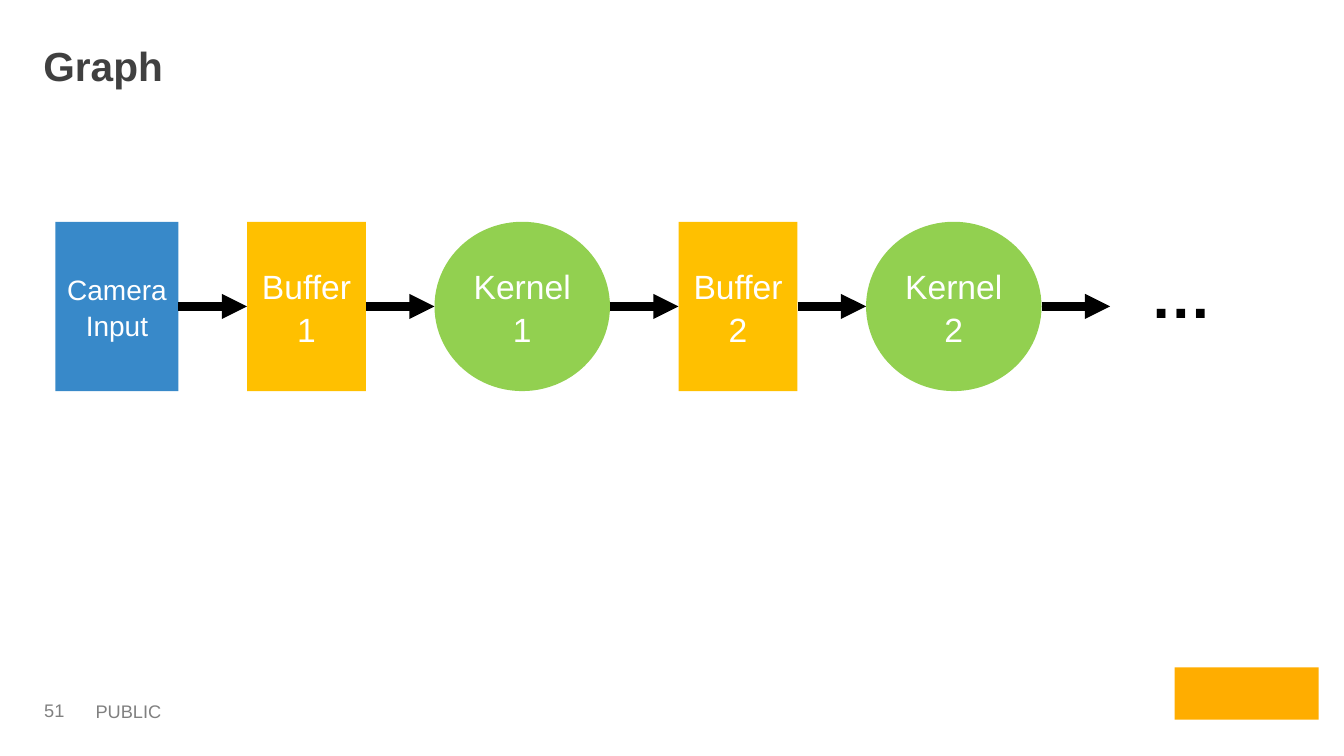
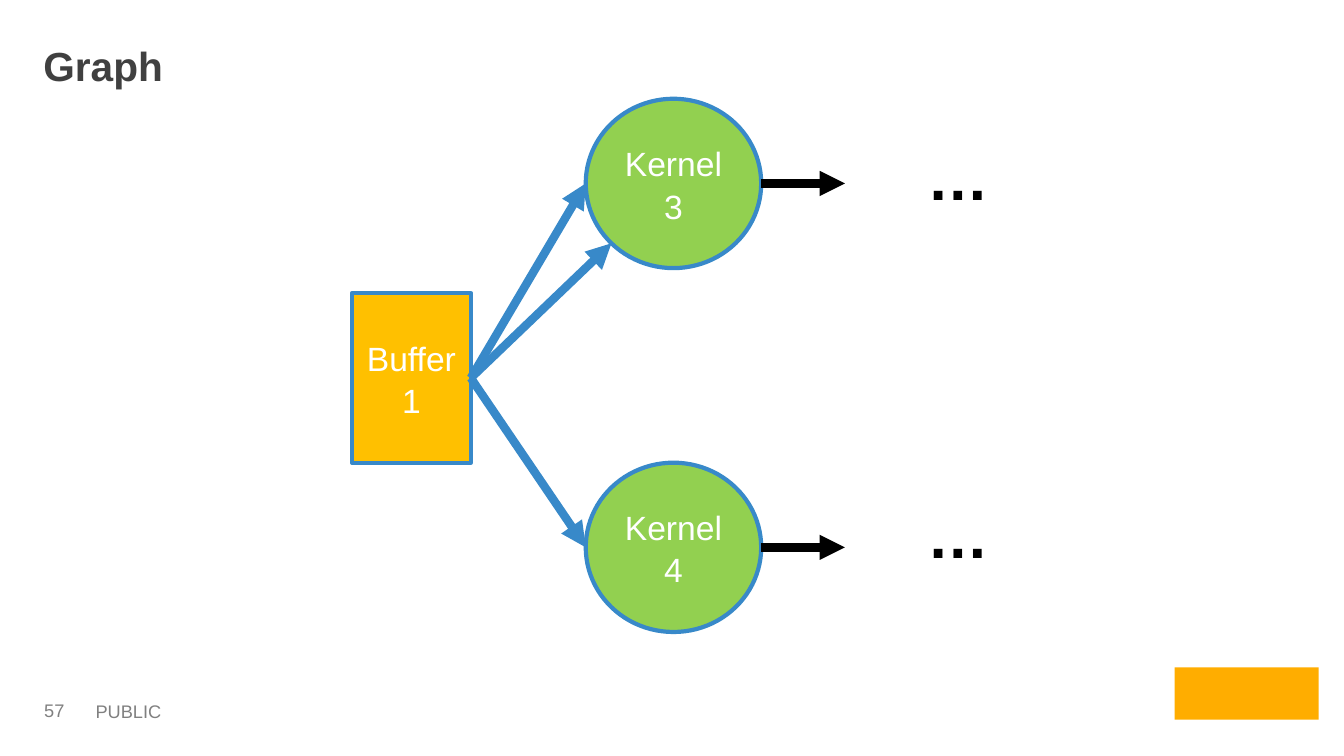
from math import cos, pi, sin

from lxml.etree import SubElement
from pptx import Presentation
from pptx.dml.color import RGBColor
from pptx.enum.shapes import MSO_CONNECTOR, MSO_SHAPE
from pptx.enum.text import MSO_ANCHOR, MSO_AUTO_SIZE, PP_ALIGN
from pptx.oxml.ns import qn
from pptx.util import Inches, Pt

# Shared style
FONT = "Arial"
WHITE = RGBColor(0xFF, 0xFF, 0xFF)
BLACK = RGBColor(0x00, 0x00, 0x00)
TITLE_GRAY = RGBColor(0x40, 0x40, 0x40)
FOOTER_GRAY = RGBColor(0x80, 0x80, 0x80)
BLUE = RGBColor(0x38, 0x89, 0xC9)
AMBER = RGBColor(0xFF, 0xC0, 0x00)
GREEN = RGBColor(0x92, 0xD0, 0x50)
LOGO_ORANGE = RGBColor(0xFF, 0xAD, 0x00)
LINE_SPACING = 1.05

# Node kinds: preset, fill, width, text size
NODE_HEIGHT = 1.68
KINDS = {
    "input": (MSO_SHAPE.RECTANGLE, BLUE, 1.22, 20),
    "buffer": (MSO_SHAPE.RECTANGLE, AMBER, 1.18, 24),
    "kernel": (MSO_SHAPE.OVAL, GREEN, 1.74, 24),
}

# Content
TITLE = "Graph"
FOOTER = "PUBLIC"
CHAIN = [
    ("input", "Camera Input"),
    ("buffer", "Buffer 1"),
    ("kernel", "Kernel\v1"),
    ("buffer", "Buffer 2"),
    ("kernel", "Kernel 2"),
]
CHAIN_LEFT, CHAIN_TOP, CHAIN_GAP = 0.55, 2.2, 0.68
SOURCE = ("buffer", "Buffer 1", 3.49, 2.91)
# Label, top of the kernel, top of the dots
BRANCHES = [("Kernel 3", 0.98, 1.29), ("Kernel 4", 4.59, 4.84)]
BRANCH_LEFT, BRANCH_ARROW, BRANCH_DOTS = 5.81, 0.83, 9.1


def write(frame, text, size, color, bold=False, align=PP_ALIGN.LEFT,
          anchor=MSO_ANCHOR.TOP):
    frame.word_wrap = True
    frame.auto_size = MSO_AUTO_SIZE.NONE
    frame.vertical_anchor = anchor
    frame.text = text
    para = frame.paragraphs[0]
    para.alignment = align
    para.line_spacing = LINE_SPACING
    font = para.font
    font.name, font.size, font.bold = FONT, Pt(size), bold
    font.color.rgb = color


def add_text(page, area, text, size, color, **style):
    box = page.shapes.add_textbox(*map(Inches, area))
    write(box.text_frame, text, size, color, **style)


def add_block(page, preset, area, fill, outline=None):
    block = page.shapes.add_shape(preset, *map(Inches, area))
    block.shadow.inherit = False
    block.fill.solid()
    block.fill.fore_color.rgb = fill
    if outline is None:
        block.line.fill.background()
    else:
        block.line.color.rgb = outline
        block.line.width = Pt(3)
    return block


def add_node(page, kind, label, left, top, outline=None):
    """Draw a node and return its right and middle in inches."""
    preset, fill, width, size = KINDS[kind]
    node = add_block(page, preset, (left, top, width, NODE_HEIGHT), fill, outline)
    write(node.text_frame, label, size, WHITE,
          align=PP_ALIGN.CENTER, anchor=MSO_ANCHOR.MIDDLE)
    return left + width, top + NODE_HEIGHT / 2


def add_arrow(page, start, end, color=BLACK):
    arrow = page.shapes.add_connector(
        MSO_CONNECTOR.STRAIGHT, *map(Inches, (*start, *end)))
    arrow.line.color.rgb = color
    arrow.line.width = Pt(6)
    SubElement(arrow.line._get_or_add_ln(), qn("a:tailEnd"), type="triangle")
    SubElement(arrow._element.spPr, qn("a:effectLst"))


def add_dots(page, left, top):
    add_text(page, (left, top, 0.75, 0.68), "…", 44, BLACK, bold=True)


def add_page(deck, number):
    page = deck.slides.add_slide(deck.slide_layouts[5])
    title = page.shapes.title
    title.left, title.top, title.width, title.height = map(
        Inches, (0.33, 0.31, 12.75, 0.72))
    write(title.text_frame, TITLE, 29, TITLE_GRAY, bold=True)
    title.text_frame.margin_top = Inches(0.07)
    # Footer band
    add_text(page, (0.85, 6.89, 3.98, 0.34), FOOTER, 13, FOOTER_GRAY)
    add_text(page, (0.34, 6.89, 0.65, 0.3), number, 13, FOOTER_GRAY,
             anchor=MSO_ANCHOR.MIDDLE)
    add_block(page, MSO_SHAPE.RECTANGLE, (11.65, 6.62, 1.43, 0.52), LOGO_ORANGE)
    return page


def build_chain(page):
    left = CHAIN_LEFT
    for kind, label in CHAIN:
        right, middle = add_node(page, kind, label, left, CHAIN_TOP)
        left = right + CHAIN_GAP
        add_arrow(page, (right, middle), (left, middle))
    add_dots(page, left + 0.3, 2.46)


def build_branches(page):
    source = add_node(page, *SOURCE, outline=BLUE)
    for label, top, dots_top in BRANCHES:
        right, middle = add_node(page, "kernel", label, BRANCH_LEFT, top, BLUE)
        add_arrow(page, (right, middle), (right + BRANCH_ARROW, middle))
        add_arrow(page, source, (BRANCH_LEFT, middle), BLUE)
        add_dots(page, BRANCH_DOTS, dots_top)
    # Second input of the upper kernel, at its lower left
    radius_x, radius_y = KINDS["kernel"][2] / 2, NODE_HEIGHT / 2
    lower_left = (BRANCH_LEFT + radius_x * (1 - cos(pi / 4)),
                  BRANCHES[0][1] + radius_y * (1 + sin(pi / 4)))
    add_arrow(page, source, lower_left, BLUE)


def main():
    deck = Presentation()
    deck.slide_width, deck.slide_height = Inches(13.33), Inches(7.5)
    for number, build in (("51", build_chain), ("57", build_branches)):
        build(add_page(deck, number))
    deck.save("out.pptx")


if __name__ == "__main__":
    main()
